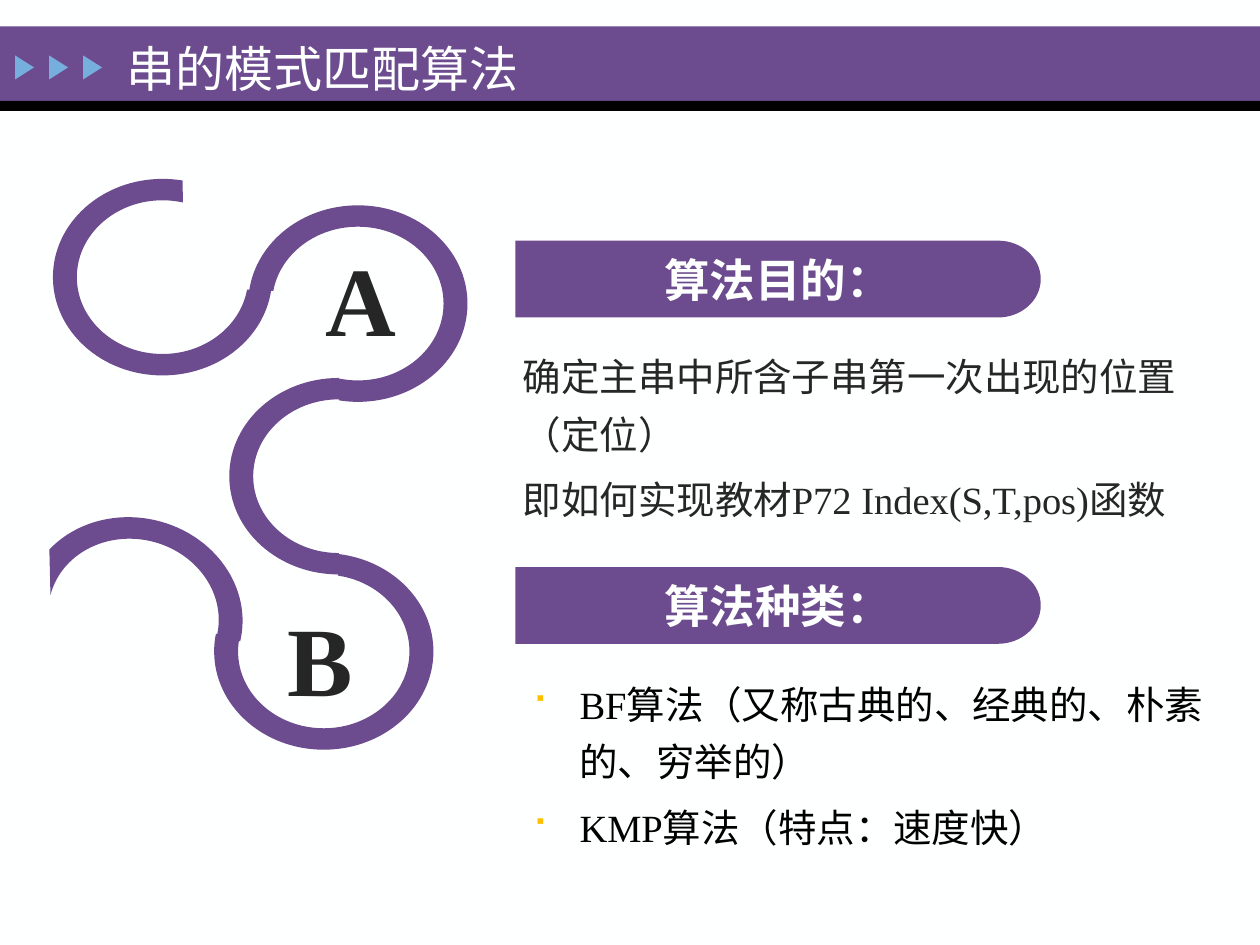
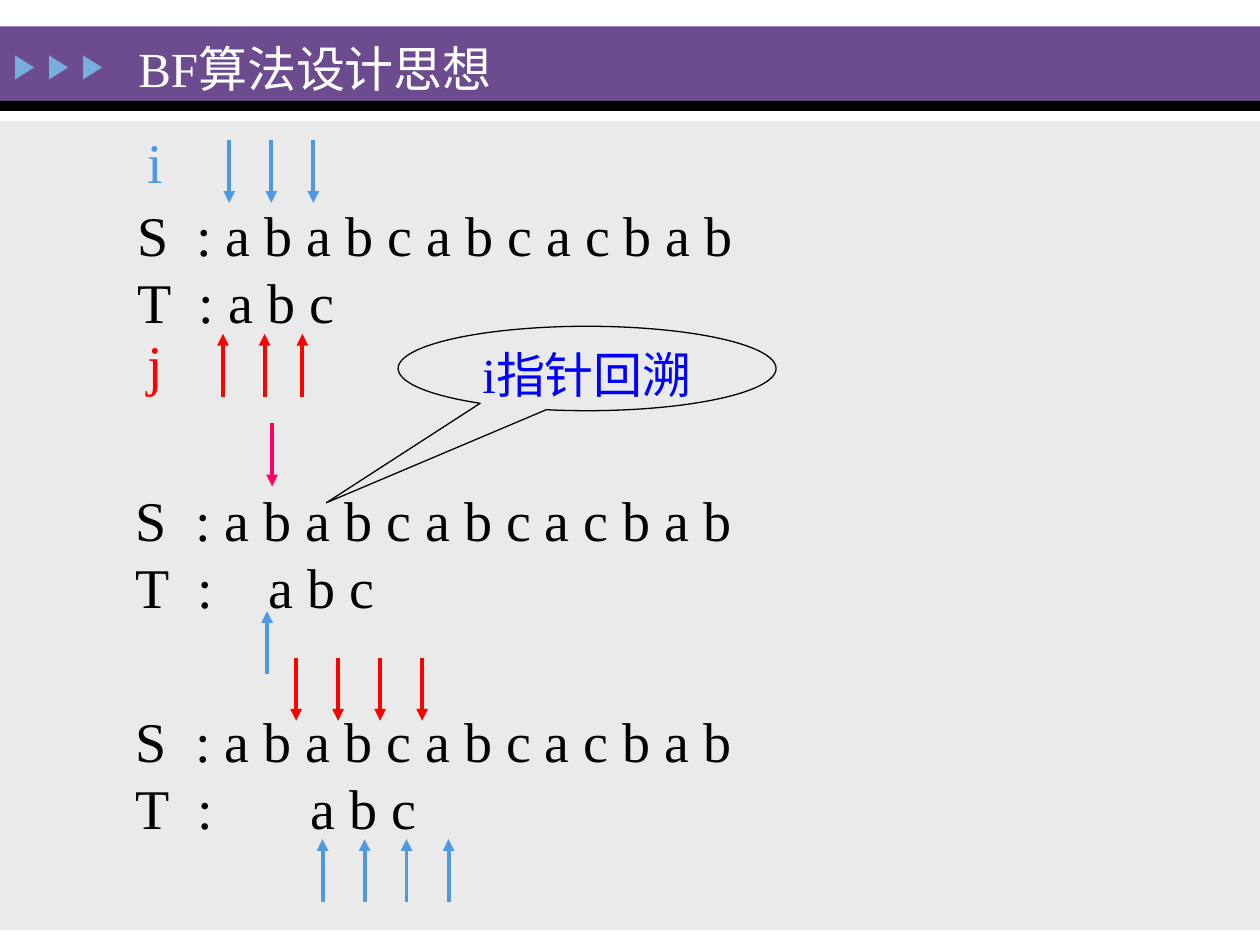
"""Build two slides on string pattern matching and the BF algorithm."""
from dataclasses import dataclass
from itertools import pairwise
from math import cos, radians, sin, tan

from lxml import etree
from pptx import Presentation
from pptx.dml.color import RGBColor
from pptx.enum import shapes, text
from pptx.oxml import ns
from pptx.util import Inches, Pt


@dataclass(frozen=True)
class Theme:
    font: str = "Times New Roman"
    paper: str = "FEFFFF"
    purple: str = "6C4C8F"
    black: str = "000000"
    sky: str = "76AEDD"
    ink: str = "262626"
    panel: str = "EAEAEA"
    gold: str = "FFC000"
    blue: str = "4F99E2"
    red: str = "FF0000"
    pink: str = "FF0066"
    callout: str = "0000FF"
    title: int = 28
    banner: int = 26
    body: int = 22
    letter: int = 56
    string: int = 32


def rgb(value):
    return RGBColor.from_string(value)


def add_xml(parent, tag, **attributes):
    return etree.SubElement(parent, ns.qn(tag), attributes)


def arc(center, radii, start, end, tilt=0):
    def place(x, y):
        x, y, turn = x * radii[0], y * radii[1], radians(tilt)
        return (center[0] + x * cos(turn) - y * sin(turn),
                center[1] + x * sin(turn) + y * cos(turn))

    low, high = sorted((start, end))
    quarters = [angle for angle in range(-180, 541, 90) if low < angle < high]
    stops = [radians(angle) for angle in sorted([low, *quarters, high], reverse=end < start)]
    segments = [[place(cos(stops[0]), sin(stops[0]))]]
    for a, b in pairwise(stops):
        pull = 4 / 3 * tan((b - a) / 4)
        segments.append([place(cos(a) - pull * sin(a), sin(a) + pull * cos(a)),
                         place(cos(b) + pull * sin(b), sin(b) - pull * cos(b)),
                         place(cos(b), sin(b))])
    return segments


def write(shape, lines, *, size, color, font, bold=False, align=text.PP_ALIGN.LEFT,
          anchor=text.MSO_ANCHOR.TOP, inset=(0.1, 0.05), spacing=None, gap=0,
          bullet=None, tabs=()):
    frame = shape.text_frame
    frame.word_wrap = True
    frame.vertical_anchor = anchor
    frame.margin_left = frame.margin_right = Inches(inset[0])
    frame.margin_top = frame.margin_bottom = Inches(inset[1])
    for index, line in enumerate(lines):
        para = frame.paragraphs[0] if index == 0 else frame.add_paragraph()
        para.alignment = align
        if spacing:
            para.line_spacing = spacing
        if index and gap:
            para.space_before = Pt(gap)
        properties = para._p.get_or_add_pPr()
        if bullet:
            properties.set("marL", str(Inches(0.38)))
            properties.set("indent", str(-Inches(0.38)))
            add_xml(add_xml(properties, "a:buClr"), "a:srgbClr", val=bullet)
            add_xml(properties, "a:buFont", typeface="Wingdings", charset="2")
            add_xml(properties, "a:buChar", char="■")
        if tabs:
            stops = add_xml(properties, "a:tabLst")
            for stop in tabs[index]:
                add_xml(stops, "a:tab", pos=str(Inches(stop)), algn="l")
        span = para.add_run()
        span.text = line
        span.font.name = font
        span.font.size = Pt(size)
        span.font.bold = bold
        span.font.color.rgb = rgb(color)


class Painter:
    def __init__(self, deck, theme):
        self.deck, self.theme, self.page = deck, theme, None

    def start(self, title, left):
        theme = self.theme
        self.page = self.deck.slides.add_slide(self.deck.slide_layouts[6])
        fill = self.page.background.fill
        fill.solid()
        fill.fore_color.rgb = rgb(theme.paper)
        self.shape("RECTANGLE", (0, 0.21, 10, 0.59), theme.purple)
        self.shape("RECTANGLE", (0, 0.8, 10, 0.08), theme.black)
        for index in range(3):
            marker = self.shape("ISOSCELES_TRIANGLE",
                                (0.1 + 0.27 * index, 0.46, 0.19, 0.15), theme.sky)
            marker.rotation = 90
        self.text((left, 0.26, 5.24, 0.56), [title], size=theme.title,
                  color=theme.paper, anchor=text.MSO_ANCHOR.MIDDLE)

    def finish(self, shape, fill=None):
        shape.shadow.inherit = False
        if fill:
            shape.fill.solid()
            shape.fill.fore_color.rgb = rgb(fill)
        else:
            shape.fill.background()
        shape.line.fill.background()
        return shape

    def shape(self, kind, place, fill=None):
        shape = self.page.shapes.add_shape(getattr(shapes.MSO_SHAPE, kind),
                                           *map(Inches, place))
        return self.finish(shape, fill)

    def outline(self, segments):
        points = [(Inches(x), Inches(y)) for segment in segments for x, y in segment]
        builder = self.page.shapes.build_freeform(*points[0])
        builder.add_line_segments(points[1:], close=True)
        shape = builder.convert_to_shape()
        trace = next(shape._element.iter(ns.qn("a:path")))
        nodes = iter(list(trace)[1:])
        for segment in segments[1:]:
            group = [next(nodes) for _ in segment]
            if len(group) == 3:
                curve = etree.Element(ns.qn("a:cubicBezTo"))
                group[0].addprevious(curve)
                for node in group:
                    curve.append(node[0])
                    trace.remove(node)
        return self.finish(shape, self.theme.purple)

    def ribbon(self, center, outer, inner, tilt=0):
        self.outline(arc(center, (0.87, 0.78), *outer, tilt)
                     + arc(center, (0.68, 0.61), *reversed(inner), tilt))

    def text(self, place, lines, **style):
        box = self.page.shapes.add_textbox(*map(Inches, place))
        write(box, lines, font=self.theme.font, **style)

    def banner(self, top, label):
        left, height = 4.09, 0.61
        cap = arc((7.92, top + height / 2), (0.34, height / 2), -90, 90)
        shape = self.outline([[(left, top)], *cap, [(left, top + height)]])
        write(shape, [label], size=self.theme.banner, color=self.theme.paper,
              font=self.theme.font, bold=True, align=text.PP_ALIGN.CENTER,
              anchor=text.MSO_ANCHOR.MIDDLE, inset=(0.13, 0.06))

    def arrows(self, lefts, start, end, color):
        for left in lefts:
            line = self.page.shapes.add_connector(
                shapes.MSO_CONNECTOR.STRAIGHT,
                *map(Inches, (left, start, left, end)))
            line.line.width = Pt(2.25)
            line.line.color.rgb = rgb(color)
            add_xml(line.line._get_or_add_ln(), "a:tailEnd", type="triangle")
            add_xml(line._element.spPr, "a:effectLst")

    def strings(self, left, top, width, shift):
        gap = "\t" if shift else " "
        self.text((left, top, width, 1.18),
                  ["S\t: a b a b c a b c a c b a b", f"T\t:{gap}a b c"],
                  size=self.theme.string, color=self.theme.black,
                  tabs=((0.47,), (0.49, 0.72 + shift / 3)))


def overview(painter):
    theme = painter.theme
    painter.start("串的模式匹配算法", 0.91)
    painter.ribbon((2.84, 2.41), (187.5, 460), (189.4, 463))
    painter.ribbon((2.69, 3.78), (90, 270), (90, 270))
    painter.ribbon((2.57, 5.17), (-82.8, 190.3), (-80.6, 193))
    painter.ribbon((1.29, 2.2), (7.4, 280.6), (9.4, 283.7))
    painter.ribbon((1.06, 4.89), (0, -152.5), (0, -179), tilt=13.3)
    painter.banner(1.91, "算法目的：")
    painter.banner(4.5, "算法种类：")
    for letter, left, top in (("A", 2.45, 1.83), ("B", 2.15, 4.69)):
        painter.text((left, top, 0.85, 1.07), [letter], size=theme.letter,
                     color=theme.ink, bold=True, inset=(0.13, 0.06))
    body = dict(size=theme.body, inset=(0.13, 0.06), spacing=1.25, gap=4.4)
    painter.text((4.02, 2.65, 5.69, 1.59),
                 ["确定主串中所含子串第一次出现的位置（定位）",
                  "即如何实现教材P72 Index(S,T,pos)函数"], color=theme.ink, **body)
    painter.text((4.09, 5.25, 5.62, 1.55),
                 ["BF算法（又称古典的、经典的、朴素的、穷举的）",
                  "KMP算法（特点：速度快）"],
                 color=theme.black, bullet=theme.gold, **body)


def brute_force(painter):
    theme = painter.theme
    painter.start("BF算法设计思想", 1)
    painter.shape("RECTANGLE", (0, 0.96, 10, 6.42), theme.panel)
    rows = ((0.99, 1.54, 7.92), (0.98, 3.8, 8.42), (0.98, 5.56, 5.75))
    for shift, row in enumerate(rows):
        painter.strings(*row, shift)
    for pointer, top, color in (("i", 0.96, theme.blue), ("j", 2.57, theme.red)):
        painter.text((1.07, top, 0.33, 0.63), [pointer], size=theme.string, color=color)
    painter.arrows([1.82 + step / 3 for step in range(3)], 1.11, 1.61, theme.blue)
    painter.arrows([1.77, 2.1, 2.4], 3.15, 2.65, theme.red)
    painter.arrows([2.16], 3.36, 3.86, theme.pink)
    painter.arrows([2.12], 5.35, 4.85, theme.blue)
    painter.arrows([2.35 + step / 3 for step in range(4)], 5.22, 5.72, theme.red)
    painter.arrows([2.56 + step / 3 for step in range(4)], 7.16, 6.66, theme.blue)
    callout = painter.shape("OVAL_CALLOUT", (3.16, 2.59, 3, 0.67))
    callout.adjustments[0], callout.adjustments[1] = -0.69, 1.59
    callout.line.color.rgb = rgb(theme.black)
    callout.line.width = Pt(0.75)
    write(callout, ["i指针回溯"], size=theme.title, color=theme.callout,
          font=theme.font, align=text.PP_ALIGN.CENTER)


def main():
    deck = Presentation()
    deck.slide_width, deck.slide_height = Inches(10), Inches(7.5)
    painter = Painter(deck, Theme())
    overview(painter)
    brute_force(painter)
    deck.save("out.pptx")


if __name__ == "__main__":
    main()
